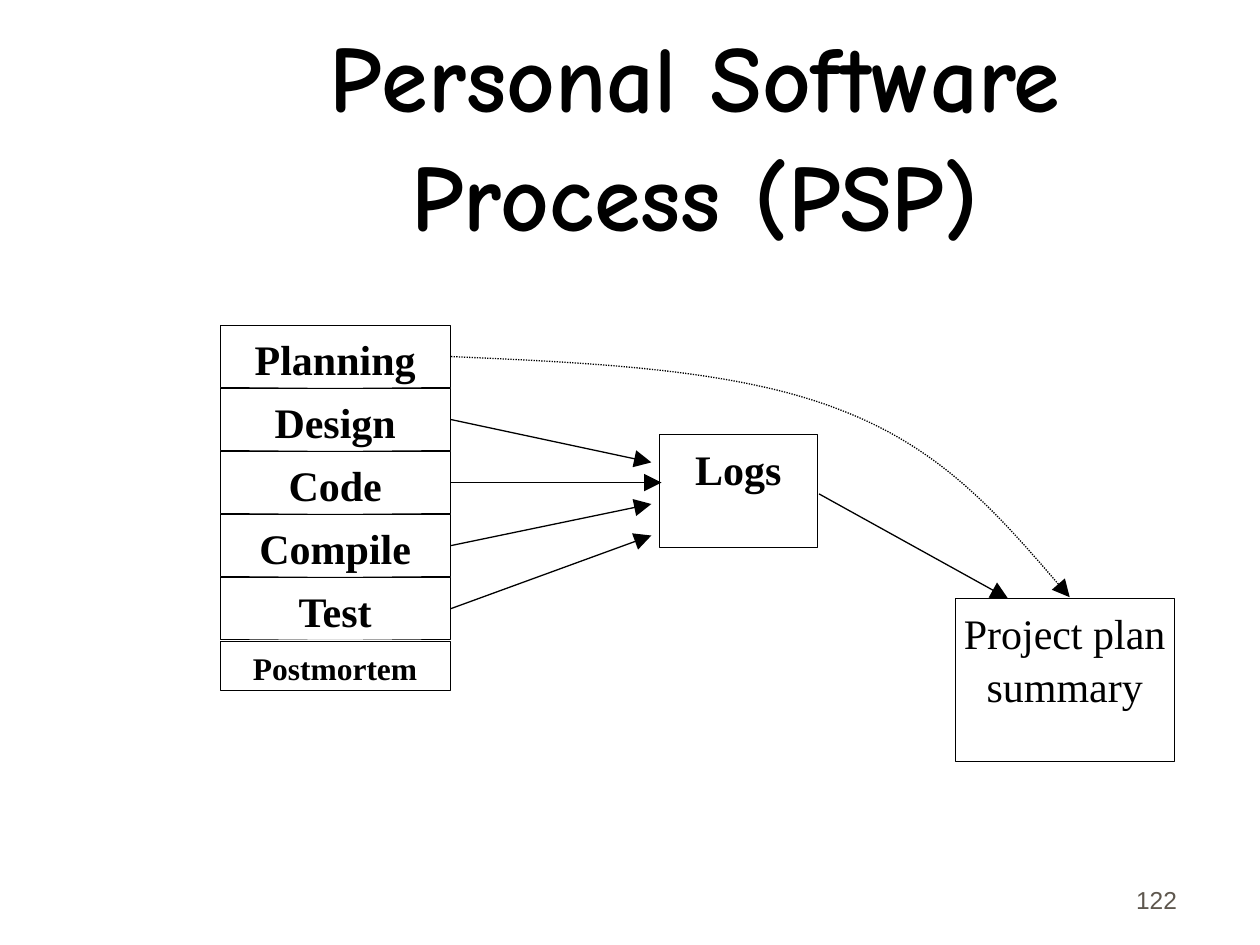
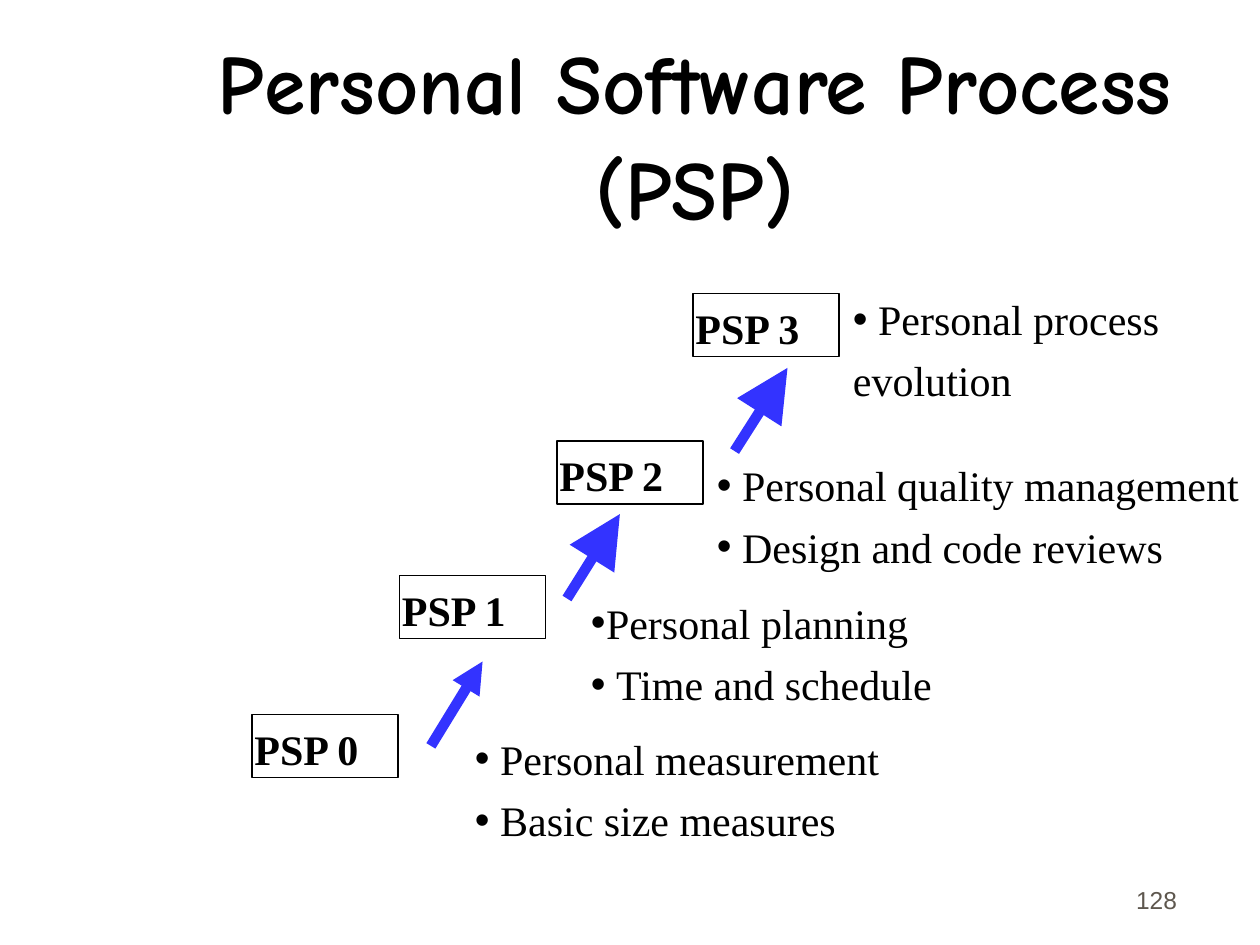
from dataclasses import dataclass
from typing import Any, Optional

from lxml.etree import SubElement
from pptx import Presentation
from pptx.dml.color import RGBColor
from pptx.enum.dml import MSO_LINE_DASH_STYLE as Dash
from pptx.enum.shapes import MSO_CONNECTOR_TYPE as Connector, MSO_SHAPE as Preset
from pptx.enum.text import MSO_VERTICAL_ANCHOR as Anchor, PP_PARAGRAPH_ALIGNMENT as Align
from pptx.oxml.ns import qn
from pptx.util import Pt

EMU_PER_PX = 9144
BLACK = RGBColor(0x00, 0x00, 0x00)
BLUE = RGBColor(0x33, 0x33, 0xFF)
GREY = RGBColor(0x5E, 0x57, 0x4E)
TITLE_FONT = "Comic Neue"
BODY_FONT = "Times New Roman"
NUMBER_FONT = "Arial"
LINE_SPACING = 1.05
BULLET_GAP = 20
TIGHT_BULLET_GAP = 12

Point = tuple[int, int]


@dataclass(frozen=True)
class Area:
    left: int
    top: int
    width: int
    height: int

    def emu(self) -> list[int]:
        return [px(n) for n in (self.left, self.top, self.width, self.height)]


@dataclass(frozen=True)
class TextStyle:
    size: int = 24
    font: str = BODY_FONT
    color: RGBColor = BLACK
    bold: bool = False
    align: Align = Align.LEFT
    anchor: Anchor = Anchor.TOP
    inset: int = 2


@dataclass(frozen=True)
class Item:
    text: str
    bullet_gap: int = 0


@dataclass(frozen=True)
class Box:
    label: str
    area: Area
    style: TextStyle
    outline: float


@dataclass(frozen=True)
class Arrow:
    start: Point
    end: Point
    color: RGBColor = BLACK
    width: float = 0.75
    head: str = "lg"


@dataclass(frozen=True)
class Practices:
    area: Area
    items: tuple[Item, ...]


TITLE_AREA = Area(126, 28, 851, 153)
NUMBER_AREA = Area(736, 681, 208, 50)
NUMBER_STYLE = TextStyle(14, NUMBER_FONT, GREY, align=Align.RIGHT, anchor=Anchor.BOTTOM, inset=10)
PHASE_STYLE = TextStyle(bold=True, align=Align.CENTER)
POSTMORTEM_STYLE = TextStyle(18, bold=True, align=Align.CENTER)
SUMMARY_STYLE = TextStyle(align=Align.CENTER)
LEVEL_STYLE = TextStyle(bold=True)

PHASES = ("Planning", "Design", "Code", "Compile", "Test")
PROCESS_BOXES = [
    Box(phase, Area(175, 258 + 50 * row, 182, 49), PHASE_STYLE, 0.25)
    for row, phase in enumerate(PHASES)
] + [
    Box("Postmortem", Area(175, 509, 182, 39), POSTMORTEM_STYLE, 0.25),
    Box("Logs", Area(523, 345, 126, 89), PHASE_STYLE, 0.25),
    Box("Project plan summary", Area(758, 475, 174, 129), SUMMARY_STYLE, 0.25),
]
LOG_ENTRIES = ((517, 367), (525, 383), (517, 400), (517, 425))
PROCESS_ARROWS = [
    Arrow((358, 333 + 50 * row), entry) for row, entry in enumerate(LOG_ENTRIES)
] + [Arrow((650, 392), (800, 475))]
PLANNING_TO_SUMMARY = (
    (358, 283), (471, 288), (584, 293), (666, 325), (748, 356), (798, 415), (849, 474),
)

LEVEL_CORNERS = ((200, 567), (317, 457), (442, 350), (550, 233))
LEVEL_BOXES = [
    Box(f"PSP {level}", Area(left, top, 116, 50), LEVEL_STYLE, 0.75)
    for level, (left, top) in enumerate(LEVEL_CORNERS)
]
LEVEL_ARROWS = [
    Arrow((342, 592), (383, 525), BLUE, 6, "med"),
    Arrow((450, 475), (492, 408), BLUE, 6),
    Arrow((583, 358), (625, 292), BLUE, 6),
]
LEVEL_PRACTICES = [
    Practices(Area(375, 575, 357, 92), (
        Item("Personal measurement", BULLET_GAP), Item("Basic size measures", BULLET_GAP))),
    Practices(Area(467, 467, 357, 92), (
        Item("Personal planning", TIGHT_BULLET_GAP), Item("Time and schedule", BULLET_GAP))),
    Practices(Area(567, 358, 450, 92), (
        Item("Personal quality management", BULLET_GAP),
        Item("Design and code reviews", BULLET_GAP))),
    Practices(Area(675, 226, 357, 92), (
        Item("Personal process", BULLET_GAP), Item("evolution"))),
]


def px(length: int) -> int:
    return length * EMU_PER_PX


def assign(target: Any, values: dict[str, Any]) -> None:
    for name, value in values.items():
        setattr(target, name, value)


def add_bullet(paragraph: Any, gap: int) -> None:
    properties = paragraph._p.get_or_add_pPr()
    properties.set("marL", str(px(gap)))
    properties.set("indent", str(-px(gap)))
    SubElement(properties, qn("a:buFont")).set("typeface", NUMBER_FONT)
    SubElement(properties, qn("a:buChar")).set("char", "•")


def write(shape: Any, items: tuple[Item, ...], style: TextStyle) -> None:
    frame = shape.text_frame
    assign(frame, {
        "word_wrap": True,
        "vertical_anchor": style.anchor,
        "margin_left": px(style.inset),
        "margin_right": px(style.inset),
        "margin_top": px(5),
        "margin_bottom": px(5),
    })
    for index, item in enumerate(items):
        paragraph = frame.add_paragraph() if index else frame.paragraphs[0]
        assign(paragraph, {
            "alignment": style.align,
            "line_spacing": LINE_SPACING,
            "space_before": Pt(4.8 if index else 0),
        })
        if item.bullet_gap:
            add_bullet(paragraph, item.bullet_gap)
        run = paragraph.add_run()
        run.text = item.text
        assign(run.font, {"name": style.font, "size": Pt(style.size), "bold": style.bold})
        run.font.color.rgb = style.color


def add_text(slide: Any, area: Area, items: tuple[Item, ...], style: TextStyle) -> None:
    write(slide.shapes.add_textbox(*area.emu()), items, style)


def add_box(slide: Any, box: Box) -> None:
    shape = slide.shapes.add_shape(Preset.RECTANGLE, *box.area.emu())
    shape.shadow.inherit = False
    shape.fill.background()
    stroke(shape, BLACK, box.outline)
    write(shape, (Item(box.label),), box.style)


def stroke(shape: Any, color: RGBColor, width: float, dash: Optional[Dash] = None) -> None:
    shape.line.color.rgb = color
    assign(shape.line, {"width": Pt(width), "dash_style": dash})


def add_head(shape: Any, size: str) -> None:
    head = SubElement(shape.element.spPr.find(qn("a:ln")), qn("a:tailEnd"))
    for name, value in {"type": "triangle", "w": size, "len": size}.items():
        head.set(name, value)


def add_arrow(slide: Any, arrow: Arrow) -> None:
    ends = [px(n) for n in arrow.start + arrow.end]
    connector = slide.shapes.add_connector(Connector.STRAIGHT, *ends)
    stroke(connector, arrow.color, arrow.width)
    add_head(connector, arrow.head)
    SubElement(connector.element.spPr, qn("a:effectLst"))


def add_curve(slide: Any, points: tuple[Point, ...]) -> None:
    builder = slide.shapes.build_freeform(*points[0], scale=EMU_PER_PX)
    builder.add_line_segments(points[1:], close=False)
    curve = builder.convert_to_shape()
    curve.shadow.inherit = False
    curve.fill.background()
    stroke(curve, BLACK, 0.75, Dash.ROUND_DOT)
    add_head(curve, "lg")
    segments = list(curve.element.iter(qn("a:lnTo")))
    for first in range(0, len(segments), 3):
        outline = segments[first].getparent()
        bezier = SubElement(outline, qn("a:cubicBezTo"))
        for segment in segments[first:first + 3]:
            bezier.append(segment[0])
            outline.remove(segment)


def add_page(deck: Any, title_size: int, number: int, boxes: list[Box], arrows: list[Arrow]) -> Any:
    slide = deck.slides.add_slide(deck.slide_layouts[6])
    title_style = TextStyle(
        title_size, TITLE_FONT, bold=True, align=Align.CENTER, anchor=Anchor.MIDDLE)
    add_text(slide, TITLE_AREA, (Item("Personal Software Process (PSP)"),), title_style)
    for box in boxes:
        add_box(slide, box)
    for arrow in arrows:
        add_arrow(slide, arrow)
    add_text(slide, NUMBER_AREA, (Item(str(number)),), NUMBER_STYLE)
    return slide


def main() -> None:
    deck = Presentation()
    assign(deck, {"slide_width": px(1000), "slide_height": px(750)})
    process = add_page(deck, 54, 122, PROCESS_BOXES, PROCESS_ARROWS)
    add_curve(process, PLANNING_TO_SUMMARY)
    levels = add_page(deck, 48, 128, LEVEL_BOXES, LEVEL_ARROWS)
    for practices in LEVEL_PRACTICES:
        add_text(levels, practices.area, practices.items, TextStyle())
    deck.save("out.pptx")


if __name__ == "__main__":
    main()
